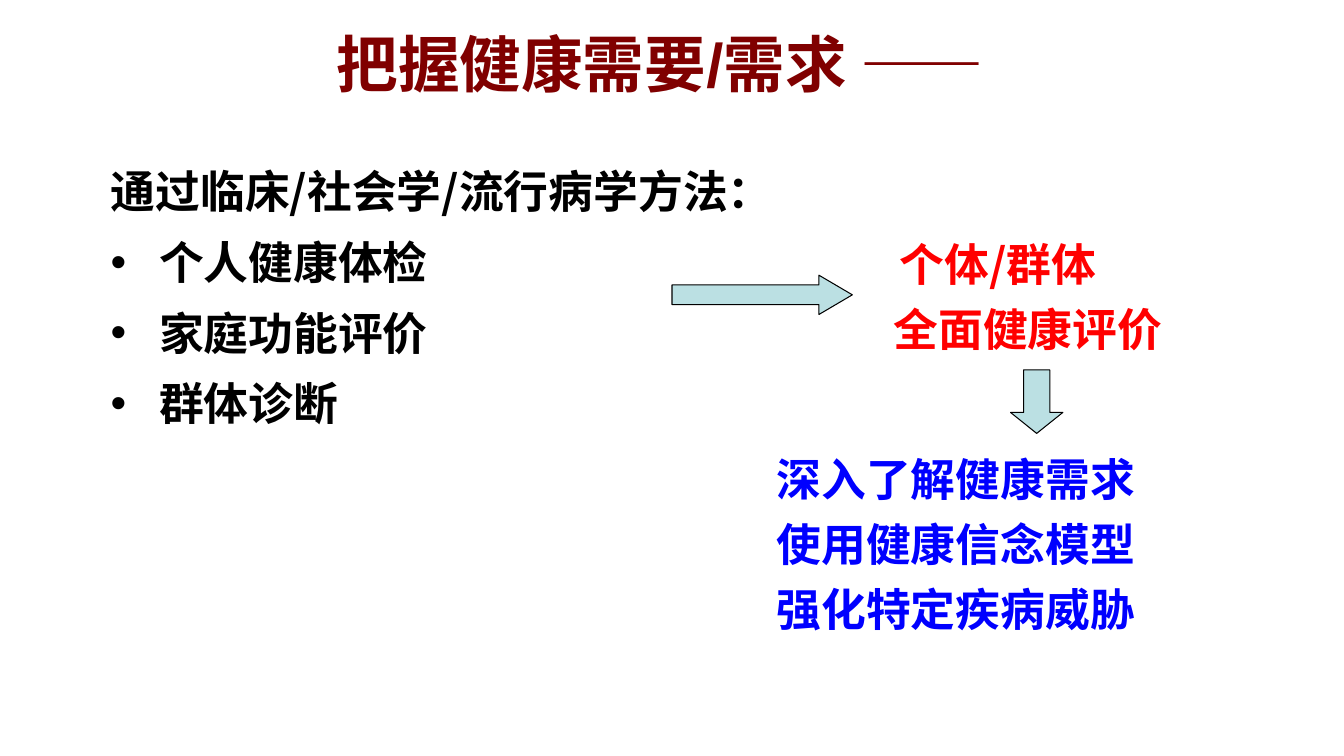
from lxml import etree
from pptx import Presentation, util as u
from pptx.dml.color import RGBColor
from pptx.enum import shapes, text
from pptx.oxml.ns import qn

WIDTH, HEIGHT = u.Inches(13.34), u.Inches(7.5)
MAROON = RGBColor(0x80, 0, 0)
BLACK = RGBColor(0, 0, 0)
RED = RGBColor(0xFF, 0, 0)
BLUE = RGBColor(0, 0, 0xFF)
PALE_TEAL = RGBColor(0xBB, 0xE0, 0xE3)
CJK_FONT = "Noto Sans CJK SC"
LINE, GAP = u.Pt(42), u.Pt(4.4)


def inches(*lengths):
    return [u.Inches(length) for length in lengths]


def set_format(target, **values):
    for name, value in values.items():
        setattr(target, name, value)


def add_text(page, box, lines, color, font=CJK_FONT, size=32):
    """Place one bold paragraph per line and return the text frame."""
    frame = page.shapes.add_textbox(*box).text_frame
    frame.word_wrap = True
    for index, line in enumerate(lines):
        para = frame.paragraphs[0] if index == 0 else frame.add_paragraph()
        span = para.add_run()
        span.text = line
        set_format(span.font, name=font, size=u.Pt(size), bold=True)
        span.font.color.rgb = color
        if font == CJK_FONT:
            etree.SubElement(span.font._element, qn("a:ea"), typeface=font)
            para.line_spacing = LINE
            if index:
                para.space_before = GAP
    return frame


def indent(para, margin, first=0, bullet=None):
    props = para._p.get_or_add_pPr()
    props.set("marL", str(u.Inches(margin)))
    props.set("indent", str(u.Inches(first)))
    if bullet:
        etree.SubElement(props, qn("a:buFont"), typeface="Arial")
        etree.SubElement(props, qn("a:buChar"), char=bullet)


def add_title(page, box):
    frame = add_text(page, box, ["把握健康需要/需求 ——"], MAROON, "Arial", 44)
    frame.vertical_anchor = text.MSO_ANCHOR.MIDDLE
    frame.paragraphs[0].alignment = text.PP_ALIGN.CENTER


def add_methods(page, box):
    lines = ["通过临床/社会学/流行病学方法：", "个人健康体检", "家庭功能评价", "群体诊断"]
    heading, *items = add_text(page, box, lines, BLACK).paragraphs
    heading.line_spacing = u.Pt(52)
    for item in items:
        item.line_spacing = u.Pt(46)
        indent(item, 0.48, -0.48, "•")


def add_assessment(page, box):
    frame = add_text(page, box, ["个体/群体", "全面健康评价"], RED)
    indent(frame.paragraphs[0], 0.06)


def add_outcomes(page, box):
    add_text(page, box, ["深入了解健康需求", "使用健康信念模型", "强化特定疾病威胁"], BLUE)


def add_arrow(page, box, kind, head):
    arrow = page.shapes.add_shape(kind, *box)
    arrow.shadow.inherit = False
    arrow.adjustments[0], arrow.adjustments[1] = 0.5, head
    arrow.fill.solid()
    arrow.fill.fore_color.rgb = PALE_TEAL
    arrow.line.color.rgb = BLACK
    arrow.line.width = u.Pt(0.75)


def main():
    deck = Presentation()
    set_format(deck, slide_width=WIDTH, slide_height=HEIGHT)
    page = deck.slides.add_slide(deck.slide_layouts[6])
    arrows = shapes.MSO_SHAPE
    add_title(page, inches(0.89, 0, 11.33, 1.25))
    add_methods(page, inches(1, 1.39, 9.45, 4.58))
    add_arrow(page, inches(6.67, 2.73, 1.79, 0.39), arrows.RIGHT_ARROW, 0.85)
    add_assessment(page, inches(8.77, 2.25, 4.57, 1.28))
    add_outcomes(page, inches(7.61, 4.38, 5.72, 1.93))
    add_arrow(page, inches(10.03, 3.67, 0.52, 0.63), arrows.DOWN_ARROW, 0.4)
    deck.save("out.pptx")


if __name__ == "__main__":
    main()
